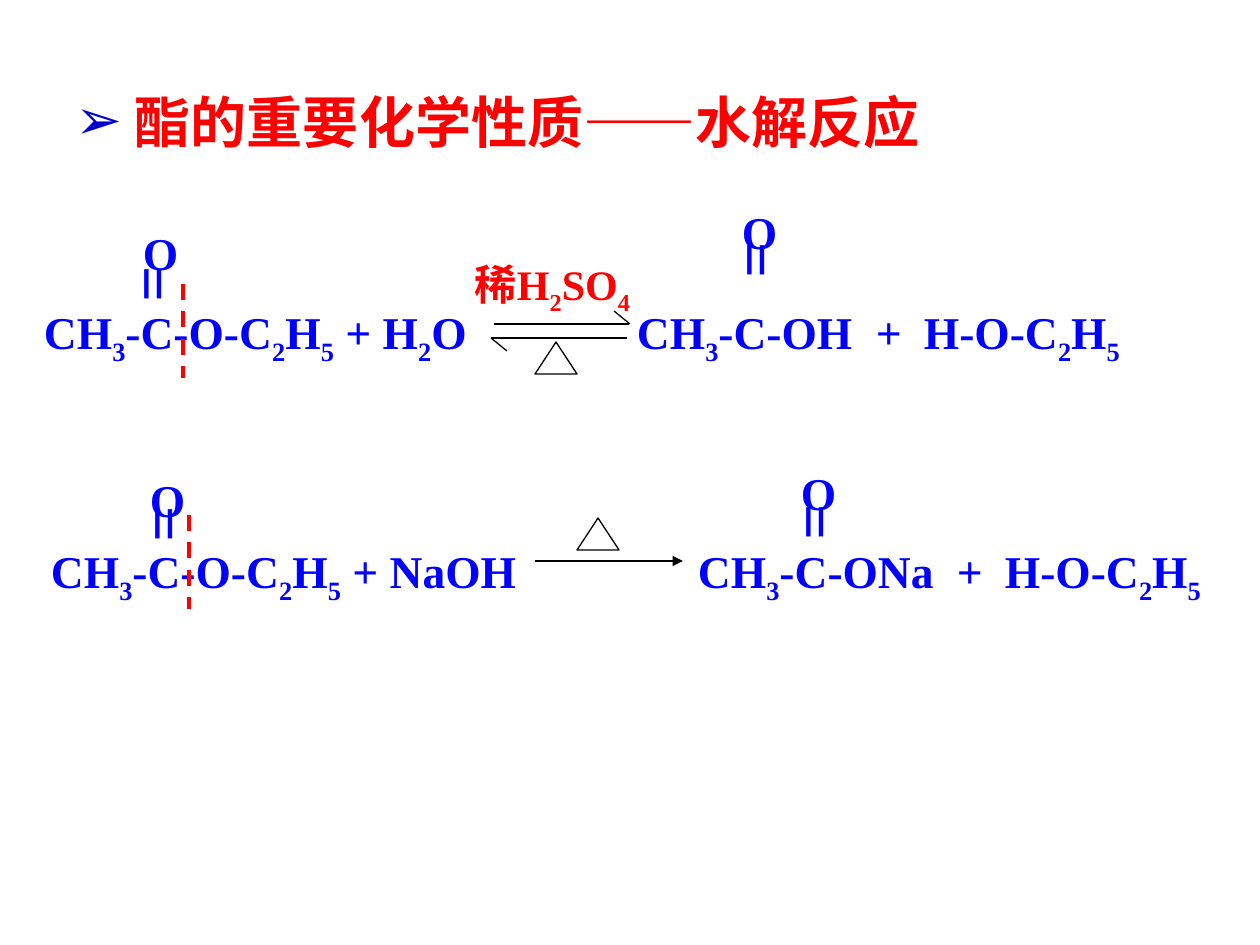
"""Build the slide on the hydrolysis of esters."""
from lxml import etree
from pptx import Presentation
from pptx.dml.color import RGBColor
from pptx.enum.dml import MSO_LINE
from pptx.enum.shapes import MSO_CONNECTOR, MSO_SHAPE
from pptx.enum.text import MSO_ANCHOR, MSO_AUTO_SIZE, PP_ALIGN
from pptx.oxml.ns import qn
from pptx.util import Pt

SCALE = 914400 / 126
STRAIGHT = MSO_CONNECTOR.STRAIGHT
TRIANGLE = MSO_SHAPE.ISOSCELES_TRIANGLE
DASH = MSO_LINE.DASH
TOP = MSO_ANCHOR.TOP
NO_FIT = MSO_AUTO_SIZE.NONE
LEFT, CENTER = PP_ALIGN.LEFT, PP_ALIGN.CENTER
COLORS = {"red": "FF0000", "blue": "0000FF", "bullet": "0000CC",
          "black": "000000", "white": "FFFFFF"}


def px(n):
    return round(n * SCALE)


def rgb(name):
    return RGBColor.from_string(COLORS[name])


def write(tf, text, size=26, color="blue", font="Times New Roman",
          align=LEFT, spacing=0.8, inset=(13, 6)):
    """Fill a text frame; the character after each underscore is a subscript."""
    tf.word_wrap = True
    tf.auto_size = NO_FIT
    tf.vertical_anchor = TOP
    tf.margin_left = tf.margin_right = px(inset[0])
    tf.margin_top = tf.margin_bottom = px(inset[1])
    p = tf.paragraphs[0]
    p.alignment = align
    p.line_spacing = spacing
    p.space_before = Pt(0)
    head, *rest = text.split("_")
    pieces = [(head, False)]
    for part in rest:
        pieces += [(part[0], True), (part[1:], False)]
    for piece, lowered in pieces:
        if piece:
            r = p.add_run()
            r.text = piece
            r.font.name = font
            r.font.size = Pt(size)
            r.font.bold = True
            r.font.color.rgb = rgb(color)
            if lowered:
                r.font._element.set("baseline", "-25000")
    return p


class Deck:
    """Holds the presentation and its current slide."""

    def __init__(self):
        self.prs = Presentation()
        self.prs.slide_width, self.prs.slide_height = px(1260), px(945)
        self.s = self.prs.slides.add_slide(self.prs.slide_layouts[5])

    def title(self, text, x, y, w, h, indent):
        sp = self.s.shapes.title
        sp.left, sp.top, sp.width, sp.height = map(px, (x, y, w, h))
        p = write(sp.text_frame, text, size=32, color="red", font="Arial")
        pPr = p._p.get_or_add_pPr()
        pPr.set("marL", str(px(indent)))
        pPr.set("indent", str(-px(indent)))
        clr = etree.SubElement(pPr, qn("a:buClr"))
        etree.SubElement(clr, qn("a:srgbClr"), val=COLORS["bullet"])
        etree.SubElement(pPr, qn("a:buFont"), typeface="Arial")
        etree.SubElement(pPr, qn("a:buChar"), char="➢")

    def text(self, text, x, y, w, h, tabs=(), **fmt):
        sp = self.s.shapes.add_textbox(*map(px, (x, y, w, h)))
        p = write(sp.text_frame, text, **fmt)
        if tabs:
            tab_list = etree.SubElement(p._p.get_or_add_pPr(), qn("a:tabLst"))
            for pos in tabs:
                etree.SubElement(tab_list, qn("a:tab"), pos=str(px(pos)), algn="l")
        return sp

    def double_bond(self, x, y):
        sp = self.text("=", x, y, 74, 53, size=36, align=CENTER,
                       spacing=1.0, inset=(0, 0))
        sp.text_frame._txBody.bodyPr.set("vert", "eaVert")

    def line(self, x1, y1, x2, y2, color="black", width=0.75, dash=None, arrow=False):
        cn = self.s.shapes.add_connector(STRAIGHT, *map(px, (x1, y1, x2, y2)))
        cn.line.color.rgb = rgb(color)
        cn.line.width = Pt(width)
        if dash:
            cn.line.dash_style = dash
        if arrow:
            etree.SubElement(cn.line._get_or_add_ln(), qn("a:tailEnd"), type="triangle")
        etree.SubElement(cn._element.spPr, qn("a:effectLst"))

    def heat(self, x, y):
        sp = self.s.shapes.add_shape(TRIANGLE, *map(px, (x, y, 42, 32)))
        sp.shadow.inherit = False
        sp.fill.solid()
        sp.fill.fore_color.rgb = rgb("white")
        sp.line.color.rgb = rgb("black")
        sp.line.width = Pt(0.75)


def main():
    deck = Deck()
    deck.title("酯的重要化学性质——水解反应", 63, 94, 1018, 84, indent=59)

    deck.text("稀H_2SO_4", 462, 258, 210, 59, size=24, color="red")
    for ends in ((494, 324, 629, 324), (614, 311, 630, 324),
                 (627, 338, 491, 338), (507, 351, 491, 338)):
        deck.line(*ends)
    deck.line(535, 561, 683, 561, arrow=True)
    for x, y in ((535, 342), (577, 518)):
        deck.heat(x, y)

    ester = "CH_3-C-O-C_2H_5 + "
    alcohol = "\t+\tH-O-C_2H_5"
    deck.text(ester + "H_2O\tCH_3-C-OH" + alcohol, 31, 304, 1200, 60,
              tabs=(593, 832, 880))
    deck.text(ester + "NaOH\tCH_3-C-ONa" + alcohol, 38, 543, 1200, 60,
              tabs=(647, 906, 954))

    for x, y in ((121, 267), (724, 243), (132, 507), (783, 505)):
        deck.double_bond(x, y)
    for x, y in ((130, 230), (729, 209), (137, 477), (788, 470)):
        deck.text("O", x, y, 61, 57)
    for x, y in ((189, 515), (183, 284)):
        deck.line(x, y, x, y + 94, color="red", width=2.25, dash=DASH)

    deck.prs.save("out.pptx")


if __name__ == "__main__":
    main()
